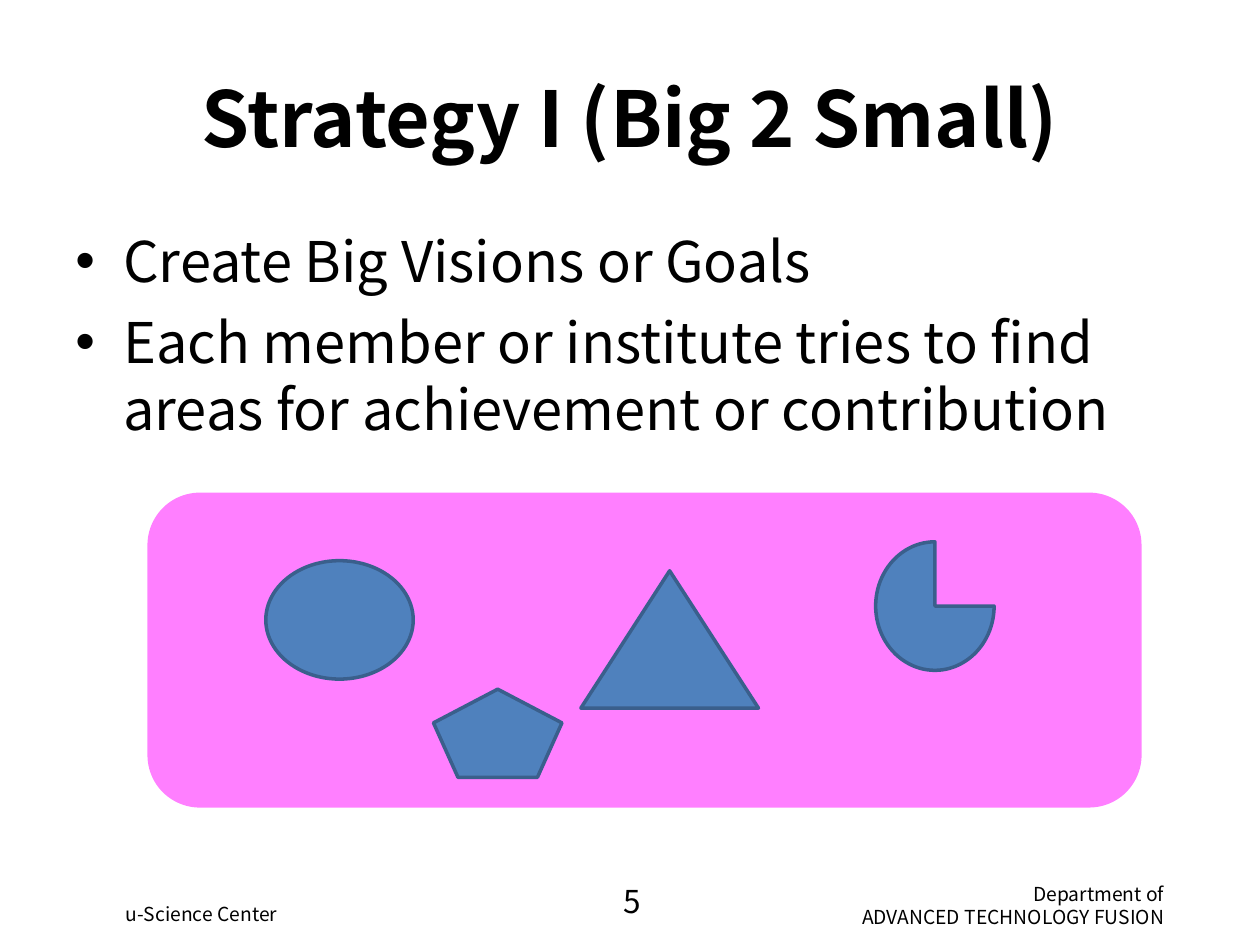
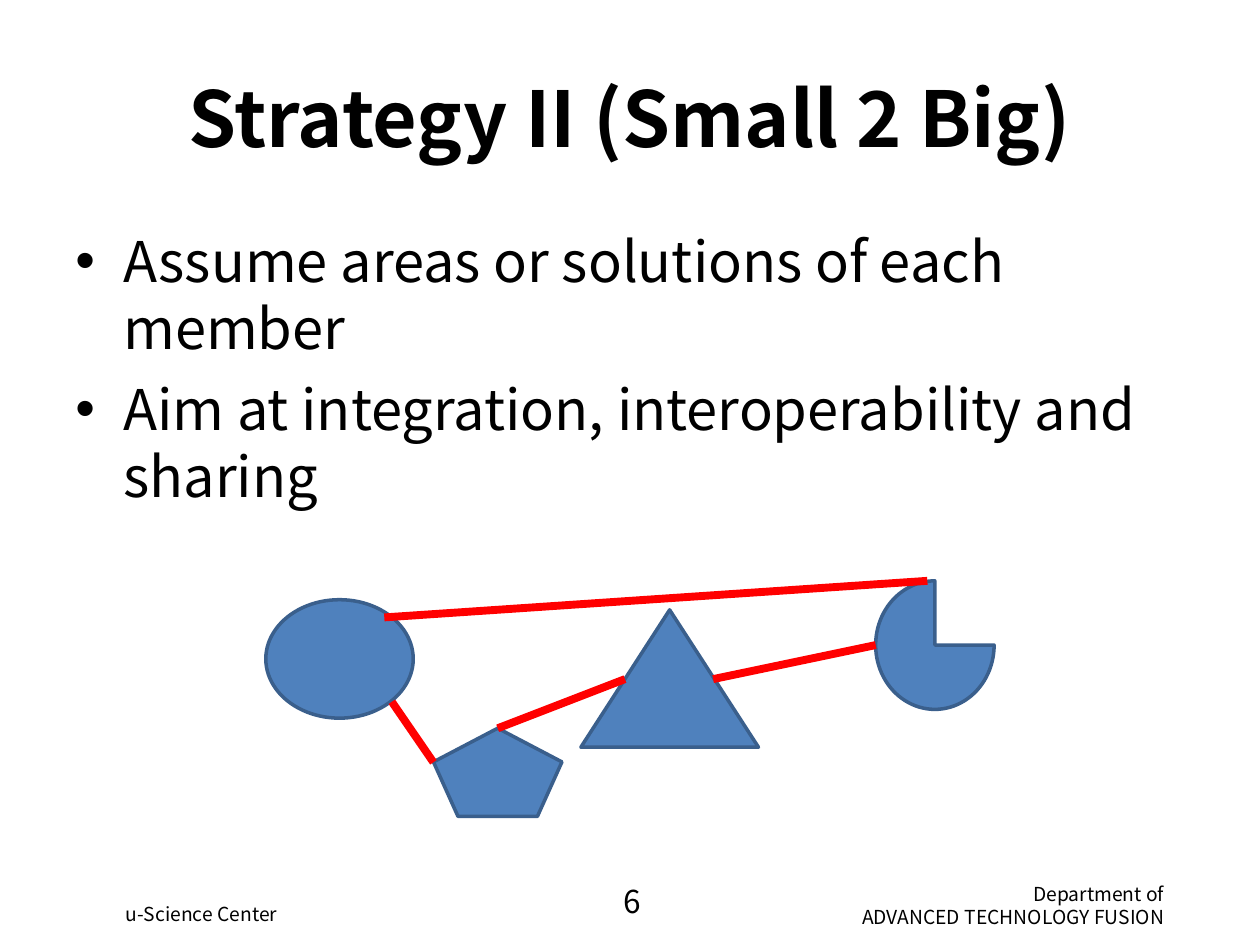
"""Builds the two strategy slides."""
from dataclasses import dataclass

from lxml import etree
from pptx import Presentation
from pptx.dml.color import RGBColor
from pptx.enum.shapes import MSO_CONNECTOR, MSO_SHAPE
from pptx.enum.text import MSO_ANCHOR, MSO_AUTO_SIZE, PP_ALIGN
from pptx.oxml.ns import qn
from pptx.util import Inches, Pt

FONT = "Noto Sans CJK KR"
BLACK, BLUE, BLUE_EDGE, VISION, LINK = "000000", "4F81BD", "3A5F8C", "FF00FF", "FF0000"
LEFT, CENTER, RIGHT = PP_ALIGN.LEFT, PP_ALIGN.CENTER, PP_ALIGN.RIGHT
TOP, MIDDLE = MSO_ANCHOR.TOP, MSO_ANCHOR.MIDDLE
NO_AUTOFIT = MSO_AUTO_SIZE.NONE
STRAIGHT = MSO_CONNECTOR.STRAIGHT
ROUNDED = MSO_SHAPE.ROUNDED_RECTANGLE
TITLE_ONLY = 5
HANGING = 0.38


@dataclass(frozen=True)
class Member:
    """One member shape of the group."""
    kind: MSO_SHAPE
    left: float
    top: float
    width: float
    height: float


@dataclass(frozen=True)
class Link:
    """A straight link between two points."""
    start: tuple[float, float]
    end: tuple[float, float]


@dataclass(frozen=True)
class Strategy:
    """The content of one slide."""
    number: int
    title: str
    points: tuple[str, ...]
    members_drop: float
    shared_vision: bool = False
    links: tuple[Link, ...] = ()


@dataclass(frozen=True)
class Footer:
    """A text at the foot of every slide."""
    lines: tuple[str, ...]
    left: float
    top: float
    width: float
    size: int
    align: PP_ALIGN = LEFT


MEMBERS = (
    Member(MSO_SHAPE.OVAL, 2.11, 4.45, 1.17, 0.94),
    Member(MSO_SHAPE.ISOSCELES_TRIANGLE, 4.61, 4.53, 1.41, 1.09),
    Member(MSO_SHAPE.PIE, 6.95, 4.3, 0.94, 1.02),
    Member(MSO_SHAPE.REGULAR_PENTAGON, 3.44, 5.47, 1.02, 0.7),
)

STRATEGIES = (
    Strategy(
        5, "Strategy I (Big 2 Small)",
        ("Create Big Visions or Goals",
         "Each member or institute tries to find areas for achievement or contribution"),
        members_drop=0, shared_vision=True),
    Strategy(
        6, "Strategy II (Small 2 Big)",
        ("Assume areas or solutions of each member",
         "Aim at integration, interoperability and sharing"),
        members_drop=0.31,
        links=(Link((3.11, 5.57), (3.44, 6.05)), Link((3.95, 5.78), (4.96, 5.39)),
               Link((5.66, 5.39), (6.95, 5.12)), Link((7.36, 4.61), (3.05, 4.9)))),
)


def rgb(value: str) -> RGBColor:
    """Turn a hex string into a colour."""
    return RGBColor.from_string(value)


def place(shape, left: float, top: float, width: float, height: float) -> None:
    """Set position and size in inches."""
    shape.left, shape.top = Inches(left), Inches(top)
    shape.width, shape.height = Inches(width), Inches(height)


def add_bullet(paragraph) -> None:
    """Give a paragraph a round bullet with a hanging indent."""
    properties = paragraph._p.get_or_add_pPr()
    properties.set("marL", str(Inches(HANGING)))
    properties.set("indent", str(-Inches(HANGING)))
    etree.SubElement(properties, qn("a:buFont"), typeface="Arial")
    etree.SubElement(properties, qn("a:buChar"), char="•")


def write(shape, lines: tuple[str, ...], *, size: float, bold: bool = False,
          align: PP_ALIGN = LEFT, anchor: MSO_ANCHOR = TOP,
          bullets: bool = False, gap: float = 0) -> None:
    """Fill a shape with formatted paragraphs."""
    frame = shape.text_frame
    frame.word_wrap = True
    frame.auto_size = NO_AUTOFIT
    frame.vertical_anchor = anchor
    for index, line in enumerate(lines):
        paragraph = frame.add_paragraph() if index else frame.paragraphs[0]
        paragraph.text = line
        if bullets:
            add_bullet(paragraph)
        paragraph.alignment = align
        paragraph.space_before = Pt(gap if index else 0)
        font = paragraph.runs[0].font
        font.name, font.size, font.bold = FONT, Pt(size), bold
        font.color.rgb = rgb(BLACK)


def add_text(slide, lines: tuple[str, ...], left: float, top: float,
             width: float, height: float, **style) -> None:
    """Add a text box."""
    box = slide.shapes.add_textbox(0, 0, 0, 0)
    place(box, left, top, width, height)
    write(box, lines, **style)


def add_vision(slide) -> None:
    """Draw the translucent area that holds all members."""
    vision = slide.shapes.add_shape(ROUNDED, 0, 0, 0, 0)
    place(vision, 1.17, 3.91, 7.89, 2.5)
    vision.shadow.inherit = False
    vision.fill.solid()
    vision.fill.fore_color.rgb = rgb(VISION)
    vision.line.fill.background()
    colour = vision._element.spPr.find(qn("a:solidFill")).find(qn("a:srgbClr"))
    etree.SubElement(colour, qn("a:alpha"), val="50000")


def add_member(slide, member: Member, drop: float) -> None:
    """Draw one member shape, moved down by the drop."""
    shape = slide.shapes.add_shape(member.kind, 0, 0, 0, 0)
    place(shape, member.left, member.top + drop, member.width, member.height)
    shape.shadow.inherit = False
    shape.fill.solid()
    shape.fill.fore_color.rgb = rgb(BLUE)
    shape.line.color.rgb = rgb(BLUE_EDGE)
    shape.line.width = Pt(2)


def add_link(slide, link: Link) -> None:
    """Draw a link between members."""
    ends = [Inches(value) for value in (*link.start, *link.end)]
    connector = slide.shapes.add_connector(STRAIGHT, *ends)
    connector.line.color.rgb = rgb(LINK)
    connector.line.width = Pt(4.5)
    etree.SubElement(connector._element.spPr, qn("a:effectLst"))


def add_footers(slide, number: int) -> None:
    """Add the department, slide number and center texts."""
    footers = (
        Footer(("Department of", "ADVANCED TECHNOLOGY FUSION"), 6.17, 6.95, 3.17, 11, RIGHT),
        Footer((str(number),), 4.85, 6.95, 2.33, 18),
        Footer(("u-Science Center",), 0.9, 7.11, 3.17, 11),
    )
    for footer in footers:
        add_text(slide, footer.lines, footer.left, footer.top, footer.width, 0.4,
                 size=footer.size, align=footer.align)


def add_strategy(presentation, strategy: Strategy) -> None:
    """Build one strategy slide."""
    slide = presentation.slides.add_slide(presentation.slide_layouts[TITLE_ONLY])
    add_footers(slide, strategy.number)
    title = slide.shapes.title
    place(title, 0.5, 0.3, 9, 1.25)
    write(title, (strategy.title,), size=44, bold=True, align=CENTER, anchor=MIDDLE)
    add_text(slide, strategy.points, 0.5, 1.75, 9, 4.95, size=32, bullets=True, gap=7.5)
    if strategy.shared_vision:
        add_vision(slide)
    for member in MEMBERS:
        add_member(slide, member, strategy.members_drop)
    for link in strategy.links:
        add_link(slide, link)


def main() -> None:
    """Build and save the presentation."""
    presentation = Presentation()
    presentation.slide_width, presentation.slide_height = Inches(10), Inches(7.5)
    for strategy in STRATEGIES:
        add_strategy(presentation, strategy)
    presentation.save("out.pptx")


if __name__ == "__main__":
    main()
